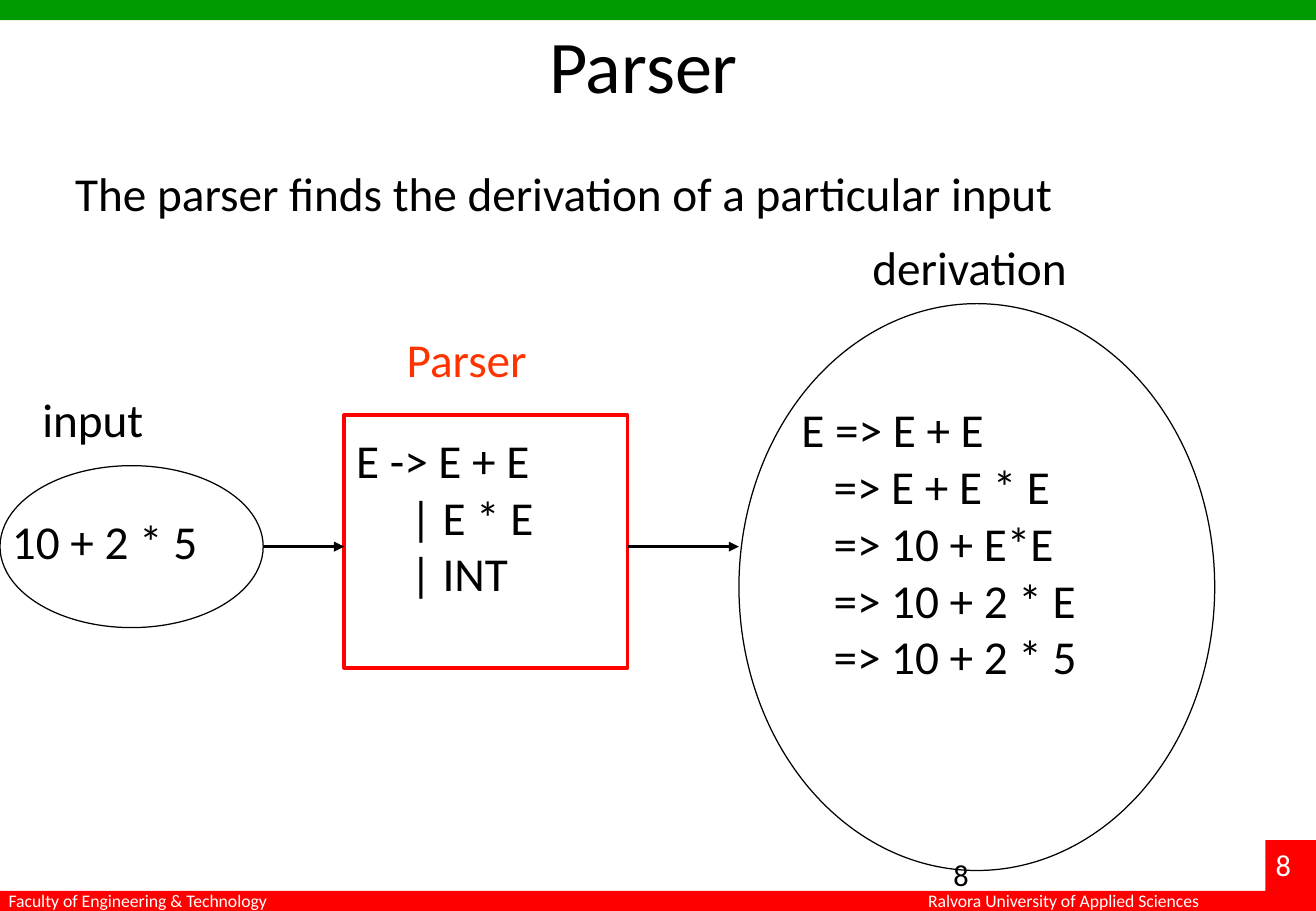
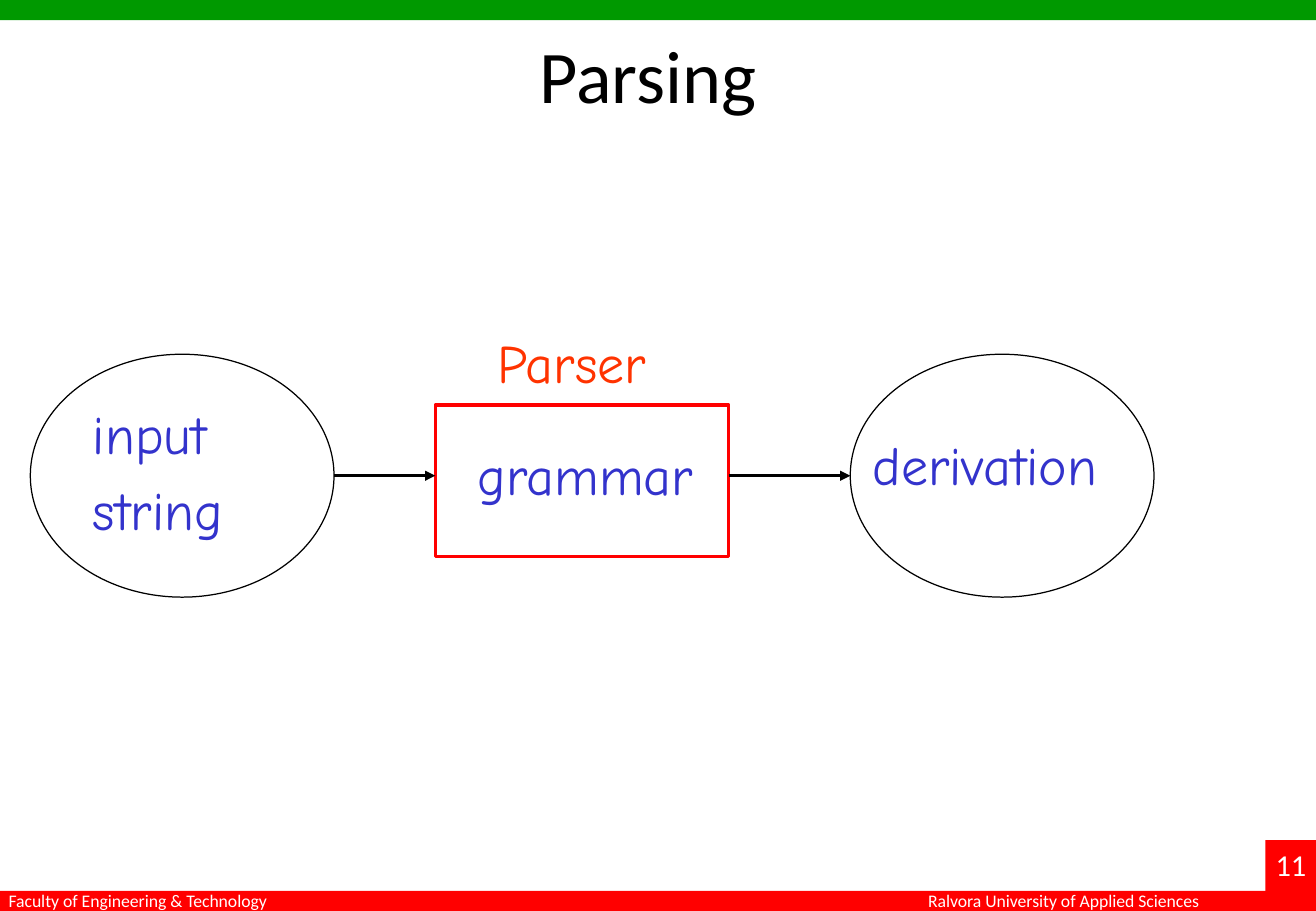
from collections import namedtuple
from dataclasses import dataclass

from lxml.etree import SubElement
from pptx import Presentation
from pptx.dml.color import RGBColor as Rgb
from pptx.enum.shapes import MSO_CONNECTOR as Link, MSO_SHAPE as Kind
from pptx.enum.text import MSO_ANCHOR as Anchor, MSO_AUTO_SIZE as Fit, PP_ALIGN as Align
from pptx.oxml.ns import qn
from pptx.util import Pt


@dataclass(frozen=True)
class Theme:
    """Colours, fonts and sizes shared by the slides."""
    green: str = "009900"
    red: str = "FF0000"
    orange: str = "FF3300"
    blue: str = "3333CC"
    black: str = "000000"
    white: str = "FFFFFF"
    font: str = "Calibri"
    comic: str = "Comic Neue"
    head: float = 44
    large: float = 32
    body: float = 28
    page: float = 18
    foot: float = 10.5
    thin: float = 0.75
    thick: float = 2


T = Theme()


class Box(namedtuple("Box", "x y w h")):
    """A rectangle in points."""

    def sub(self, x, y, w, h):
        """Return a box offset from this one's corner."""
        return Box(self.x + x, self.y + y, w, h)

    def pts(self):
        """Return the four lengths for python-pptx."""
        return [Pt(v) for v in self]


PAGE = Box(0, 0, 780, 540)
BAND = 12


def text(slide, words, box, *, size=T.body, color=T.black, font=T.font, align=Align.LEFT,
         anchor=Anchor.TOP, wrap=False, before=0, indent=0):
    """Place lines of text; lines after the first take the indent."""
    frame = slide.shapes.add_textbox(*box.pts()).text_frame
    frame.word_wrap = wrap
    frame.auto_size = Fit.NONE if wrap else Fit.SHAPE_TO_FIT_TEXT
    frame.vertical_anchor = anchor
    for i, line in enumerate(words.split("\n")):
        para = frame.paragraphs[0] if i == 0 else frame.add_paragraph()
        para.alignment = align
        if before:
            para.space_before = Pt(before)
        if i and indent:
            para._p.get_or_add_pPr().set("marL", str(Pt(indent)))
        run = para.add_run()
        run.text = line
        run.font.size, run.font.name = Pt(size), font
        run.font.color.rgb = Rgb.from_string(color)


def comic(slide, words, box, color=T.blue):
    """Place text in the handwritten style."""
    text(slide, words, box, size=T.large, font=T.comic, color=color, before=0.2 * T.large)


def shape(slide, kind, box, fill=None, line=None, width=T.thin):
    """Draw a preset shape, filled or outlined."""
    item = slide.shapes.add_shape(kind, *box.pts())
    item.shadow.inherit = False
    if fill:
        item.fill.solid()
        item.fill.fore_color.rgb = Rgb.from_string(fill)
    else:
        item.fill.background()
    if line:
        item.line.color.rgb = Rgb.from_string(line)
        item.line.width = Pt(width)
    else:
        item.line.fill.background()


def arrow(slide, left, right, y):
    """Draw a level arrow across the gap between two boxes."""
    item = slide.shapes.add_connector(Link.STRAIGHT, Pt(left.x + left.w), Pt(y), Pt(right.x), Pt(y))
    item.line.color.rgb = Rgb.from_string(T.black)
    item.line.width = Pt(T.thick)
    SubElement(item.line._get_or_add_ln(), qn("a:tailEnd"), type="triangle")
    SubElement(item._element.spPr, qn("a:effectLst"))


def flow(slide, start, parser, end):
    """Draw oval, box and oval, joined at the middle of the first oval."""
    for oval in (start, end):
        shape(slide, Kind.OVAL, oval, line=T.black)
    shape(slide, Kind.RECTANGLE, parser, line=T.red, width=T.thick)
    mid = start.y + start.h / 2
    arrow(slide, start, parser, mid)
    arrow(slide, parser, end, mid)


def frame(slide, box, page):
    """Draw the top band, footer and page tab."""
    low = box.h - BAND
    for part, fill in (
        (box.sub(0, 0, box.w, BAND), T.green),
        (box.sub(0, low, box.w, BAND), T.red),
        (box.sub(box.w - 30, box.h - 42, 30, 42), T.red),
    ):
        shape(slide, Kind.RECTANGLE, part, fill=fill)
    for words, x, w in (
        ("Faculty of Engineering & Technology", -2, 171),
        ("Ralvora University of Applied Sciences", 543, 184),
    ):
        text(slide, words, box.sub(x, low - 4, w, 20), size=T.foot, color=T.white)
    text(slide, page, box.sub(box.w - 31, box.h - 42, 36, 29), size=T.page, color=T.white)


def title(slide, words, box):
    """Centre the slide title in its box."""
    text(slide, words, box, size=T.head, align=Align.CENTER, anchor=Anchor.MIDDLE, wrap=True)


def derive(slide, box):
    """Show the worked derivation of one input."""
    start = box.sub(0, 138, 156, 96)
    parser = box.sub(204, 108, 168, 150)
    end = box.sub(438, 42, 282, 336)
    flow(slide, start, parser, end)
    text(slide, "input", box.sub(18, 90, 75, 41))
    text(slide, "Parser", box.sub(234, 54, 86, 41), color=T.orange)
    text(slide, "derivation", box.sub(510, 0, 131, 41))
    text(slide, "10 + 2 * 5", start.sub(0, 24, 126, 41))
    text(slide, "E -> E + E\n| E * E\n| INT", parser.sub(0, 6, 125, 109), indent=32)
    steps = "E => E + E\n=> E + E * E\n=> 10 + E*E\n=> 10 + 2 * E\n=> 10 + 2 * 5"
    text(slide, steps, end.sub(30, 54, 180, 177), indent=19)


def outline(slide, box):
    """Show the general scheme of parsing."""
    start = box.sub(0, 18, 180, 144)
    parser = box.sub(240, 48, 174, 90)
    end = box.sub(486, 18, 180, 144)
    flow(slide, start, parser, end)
    comic(slide, "Parser", parser.sub(30, -48, 112, 45), T.orange)
    comic(slide, "input\nstring", start.sub(30, 24, 104, 91))
    comic(slide, "grammar", parser.sub(18, 18, 145, 45))
    comic(slide, "derivation", end.sub(6, 42, 165, 45))


def main():
    """Build and save the slides."""
    deck = Presentation()
    deck.slide_width, deck.slide_height = Pt(PAGE.w), Pt(PAGE.h)
    blank = deck.slide_layouts[6]

    slide = deck.slides.add_slide(blank)
    frame(slide, PAGE, "8")
    title(slide, "Parser", PAGE.sub(318, 8, 127, 60))
    text(slide, "The parser finds the derivation of a particular input",
         PAGE.sub(37.5, 94, 646.5, 41), wrap=True)
    derive(slide, PAGE.sub(0, 138, 720, 378))
    text(slide, "8", PAGE.sub(558, 504, 150, 24), size=T.page, wrap=True)

    slide = deck.slides.add_slide(blank)
    frame(slide, PAGE, "11")
    title(slide, "Parsing", PAGE.sub(78, -1.5, 612, 90))
    outline(slide, PAGE.sub(18, 192, 666, 162))

    deck.save("out.pptx")


main()
